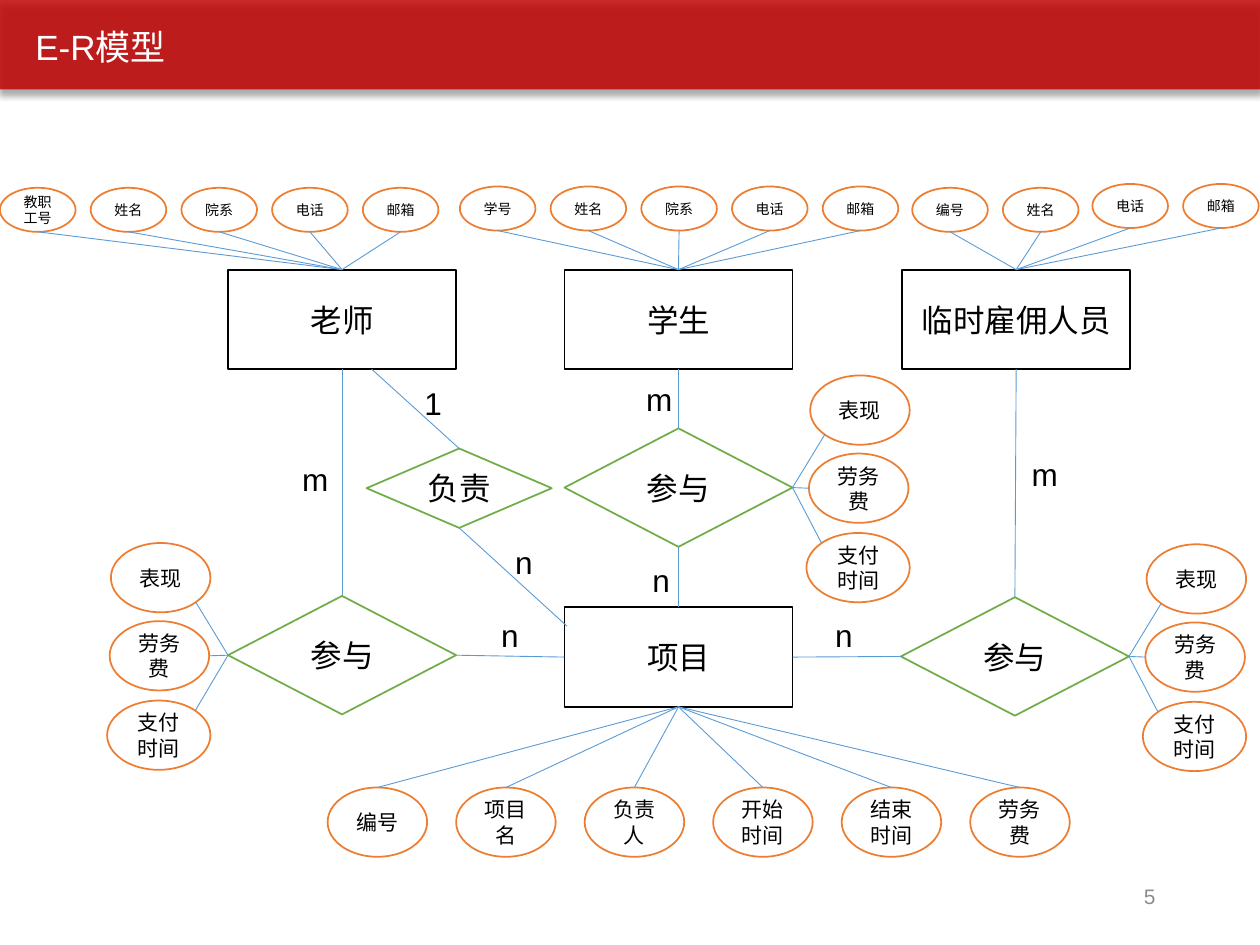
from dataclasses import dataclass
from math import sqrt

from lxml import etree
from pptx import Presentation
from pptx.dml.color import RGBColor
from pptx.enum import shapes, text
from pptx.oxml import ns
from pptx.util import Inches, Pt

Point = tuple[float, float]
KIND = shapes.MSO_SHAPE
ALIGN = text.PP_ALIGN
ANCHOR = text.MSO_ANCHOR


@dataclass(frozen=True)
class Theme:
    font: str = "Arial"
    header: str = "C00000"
    white: str = "FFFFFF"
    ink: str = "000000"
    number: str = "8C8C8C"
    entity: str = "000000"
    relation: str = "70AD47"
    attribute: str = "ED7D31"
    link: str = "5B9BD5"
    title_pt: float = 20
    node_pt: float = 18
    attr_pt: float = 12
    small_pt: float = 8
    outline_pt: float = 1
    link_pt: float = 0.5


T = Theme()


@dataclass(frozen=True)
class Node:
    label: str
    x: float
    y: float
    w: float = 1.81
    h: float = 0.79
    kind: KIND = KIND.RECTANGLE
    line: str = T.entity
    size: float = T.node_pt

    def at(self, fx: float, fy: float) -> Point:
        """Point at the given fractions of the width and height."""
        return self.x + fx * self.w, self.y + fy * self.h

    @property
    def top(self) -> Point:
        return self.at(0.5, 0)

    @property
    def bottom(self) -> Point:
        return self.at(0.5, 1)

    @property
    def left(self) -> Point:
        return self.at(0, 0.5)

    @property
    def right(self) -> Point:
        return self.at(1, 0.5)


@dataclass(frozen=True)
class Fan:
    """A row of attributes that all link to one point of an entity."""
    target: Point
    x: float
    y: float
    names: tuple[str, ...]
    pitch: float = 0.72
    w: float = 0.6
    h: float = 0.35
    size: float = T.small_pt


@dataclass(frozen=True)
class Wing:
    """The three participation attributes beside a diamond tip."""
    tip: Point
    x: float
    on_left: bool = False


def relation(label: str, x: float, y: float, w: float = 1.81, h: float = 0.94) -> Node:
    return Node(label, x, y, w, h, KIND.DIAMOND, T.relation)


def attribute(label: str, x: float, y: float, w: float = 0.79, h: float = 0.55,
              size: float = T.attr_pt) -> Node:
    return Node(label, x, y, w, h, KIND.OVAL, T.attribute, size)


TEACHER = Node("老师", 1.81, 2.14)
STUDENT = Node("学生", 4.48, 2.14)
TEMP = Node("临时雇佣人员", 7.16, 2.14)
PROJECT = Node("项目", 4.48, 4.82)
TEACHER_JOINS = relation("参与", 1.81, 4.73)
STUDENT_JOINS = relation("参与", 4.48, 3.4)
TEMP_JOINS = relation("参与", 7.15, 4.74)
LEADS = relation("负责", 2.91, 3.56, 1.47, 0.63)
NODES = (TEACHER, STUDENT, TEMP, PROJECT, TEACHER_JOINS, STUDENT_JOINS, TEMP_JOINS, LEADS)

LINKS = (
    (TEACHER.bottom, TEACHER_JOINS.top), (TEACHER_JOINS.right, PROJECT.left),
    (STUDENT.bottom, STUDENT_JOINS.top), (STUDENT_JOINS.bottom, PROJECT.top),
    (TEMP.bottom, TEMP_JOINS.top), (PROJECT.right, TEMP_JOINS.left),
    ((2.95, 2.93), LEADS.top), (LEADS.bottom, (4.5, 4.97)),
)
FANS = (
    Fan(TEACHER.top, 0, 1.49, ("教职工号", "姓名", "院系", "电话", "邮箱")),
    Fan(STUDENT.top, 3.65, 1.48, ("学号", "姓名", "院系", "电话", "邮箱")),
    Fan(TEMP.top, 7.24, 1.49, ("编号", "姓名")),
    Fan(TEMP.top, 8.67, 1.46, ("电话", "邮箱")),
    Fan(PROJECT.bottom, 2.6, 6.25,
        ("编号", "项目名", "负责人", "开始时间", "结束时间", "劳务费"),
        1.02, 0.79, 0.55, T.attr_pt),
)
WINGS = (
    Wing(STUDENT_JOINS.right, 6.4),
    Wing(TEMP_JOINS.right, 9.07),
    Wing(TEACHER_JOINS.left, 0.85, on_left=True),
)
CARDINALITIES = (
    ("m", 2.3, 3.6), ("m", 5.03, 2.97), ("m", 8.09, 3.56), ("1", 3.27, 3), ("n", 3.99, 4.26),
    ("n", 3.88, 4.84), ("n", 5.08, 4.4), ("n", 6.53, 4.84),
)


def write(sp, label: str, size: float, color: str = T.ink, align=ALIGN.LEFT, **frame) -> None:
    tf = sp.text_frame
    for name, value in {"word_wrap": True, **frame}.items():
        setattr(tf, name, value)
    p = tf.paragraphs[0]
    p.alignment = align
    r = p.add_run()
    r.text = label
    for name, value in {"name": T.font, "size": Pt(size), "bold": False}.items():
        setattr(r.font, name, value)
    r.font.color.rgb = RGBColor.from_string(color)


def add_text(s, label: str, x: float, y: float, w: float, h: float, size: float, **look) -> None:
    sp = s.shapes.add_textbox(Inches(x), Inches(y), Inches(w), Inches(h))
    write(sp, label, size, **look)


def add_node(s, node: Node) -> None:
    sp = s.shapes.add_shape(node.kind, *map(Inches, (node.x, node.y, node.w, node.h)))
    sp.shadow.inherit = False
    sp.fill.solid()
    sp.fill.fore_color.rgb = RGBColor.from_string(T.white)
    sp.line.color.rgb = RGBColor.from_string(node.line)
    sp.line.width = Pt(T.outline_pt)
    write(sp, node.label, node.size, align=ALIGN.CENTER, vertical_anchor=ANCHOR.MIDDLE,
          margin_left=Inches(0.09), margin_right=Inches(0.09))


def add_link(s, start: Point, end: Point) -> None:
    line = s.shapes.add_connector(shapes.MSO_CONNECTOR.STRAIGHT, *map(Inches, start + end))
    line.line.color.rgb = RGBColor.from_string(T.link)
    line.line.width = Pt(T.link_pt)
    etree.SubElement(line._element.spPr, ns.qn("a:effectLst"))


def add_fan(s, fan: Fan) -> None:
    for i, name in enumerate(fan.names):
        node = attribute(name, fan.x + i * fan.pitch, fan.y, fan.w, fan.h, fan.size)
        add_node(s, node)
        add_link(s, node.bottom if fan.y < fan.target[1] else node.top, fan.target)


def add_wing(s, wing: Wing) -> None:
    diagonal = 0.5 / sqrt(2)
    rows = (("表现", 0.03, -0.89, 0.79, diagonal), ("劳务费", 0.02, -0.27, 0.79, 0),
            ("支付时间", 0, 0.36, 0.82, -diagonal))
    for label, dx, dy, w, rise in rows:
        node = attribute(label, wing.x + dx, wing.tip[1] + dy, w)
        add_node(s, node)
        reach = diagonal if rise else 0.5
        add_link(s, wing.tip, node.at(0.5 + (reach if wing.on_left else -reach), 0.5 + rise))


def add_header(s) -> None:
    """Translucent bar with a soft shadow, placed behind the title."""
    bar = s.shapes.add_shape(KIND.RECTANGLE, *map(Inches, (-0.02, -0.01, 10.04, 0.72)))
    bar.shadow.inherit = False
    bar.fill.solid()
    bar.fill.fore_color.rgb = RGBColor.from_string(T.header)
    bar.line.fill.background()
    pr = bar._element.spPr
    etree.SubElement(pr.find(".//" + ns.qn("a:srgbClr")), ns.qn("a:alpha"), val="83000")
    shadow = etree.SubElement(pr.find(ns.qn("a:effectLst")), ns.qn("a:outerShdw"),
                              blurRad=str(Pt(4)), dist=str(Pt(3)), dir="5400000",
                              algn="t", rotWithShape="0")
    color = etree.SubElement(shadow, ns.qn("a:srgbClr"), val=T.ink)
    etree.SubElement(color, ns.qn("a:alpha"), val="40000")
    s.shapes._spTree.insert(2, bar._element)


def main() -> None:
    prs = Presentation()
    prs.slide_width, prs.slide_height = Inches(10), Inches(7.5)
    s = prs.slides.add_slide(prs.slide_layouts[5])
    add_header(s)
    title = s.shapes.title
    for name, value in {"left": 0.18, "top": 0.15, "width": 5.43, "height": 0.44}.items():
        setattr(title, name, Inches(value))
    write(title, "E-R模型", T.title_pt, T.white, vertical_anchor=ANCHOR.TOP,
          auto_size=text.MSO_AUTO_SIZE.NONE)
    for node in NODES:
        add_node(s, node)
    for start, end in LINKS:
        add_link(s, start, end)
    for fan in FANS:
        add_fan(s, fan)
    for wing in WINGS:
        add_wing(s, wing)
    for label, x, y in CARDINALITIES:
        add_text(s, label, x, y, 0.47, 0.4, T.node_pt)
    add_text(s, "5", 7.06, 6.94, 2.21, 0.35, T.attr_pt, color=T.number, align=ALIGN.RIGHT,
             vertical_anchor=ANCHOR.MIDDLE)
    prs.save("out.pptx")


if __name__ == "__main__":
    main()
